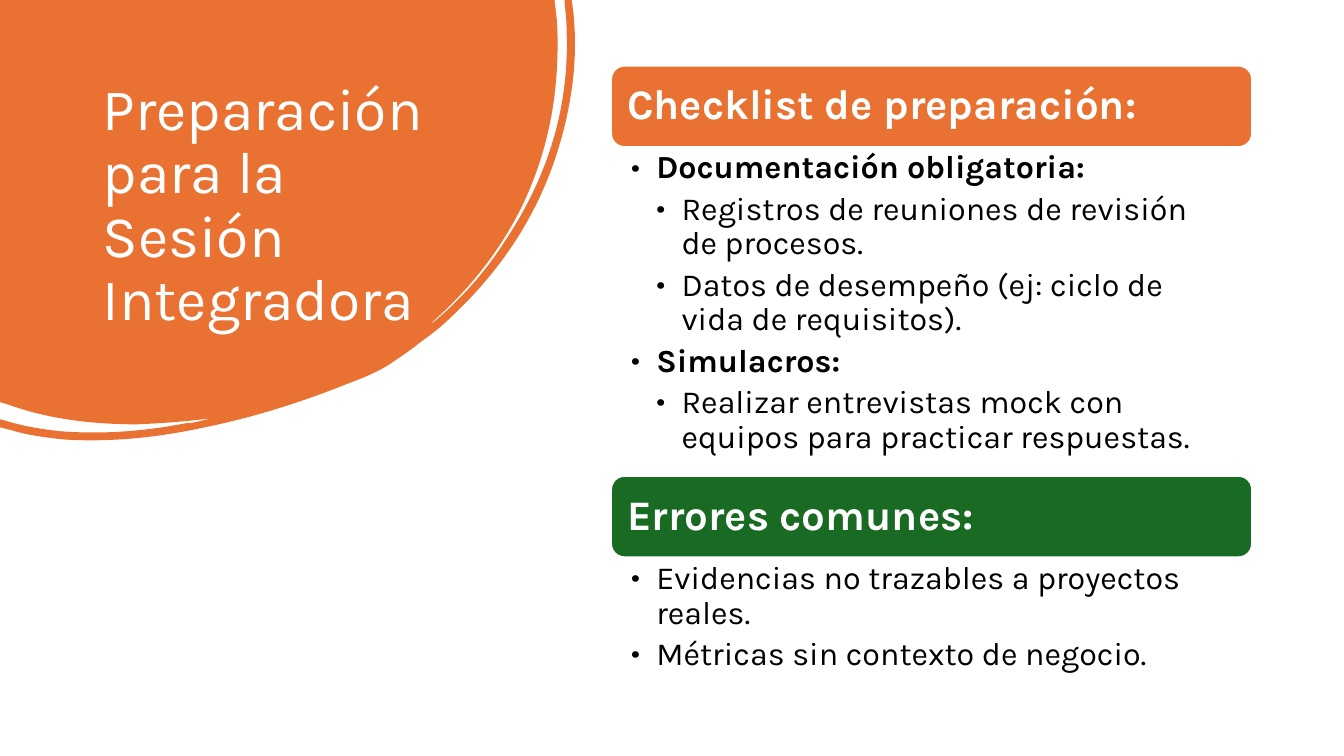
"""Build the slide on preparing for the integration session."""
from dataclasses import dataclass

from lxml.etree import SubElement
from pptx import Presentation
from pptx.dml.color import RGBColor
from pptx.enum.shapes import MSO_SHAPE
from pptx.enum.text import MSO_ANCHOR as ANCHOR, MSO_AUTO_SIZE as AUTO, PP_ALIGN as ALIGN
from pptx.oxml.ns import qn
from pptx.util import Inches, Pt

FONT = "Karla"
ORANGE, GREEN, WHITE, BLACK = "E97132", "196B24", "FFFFFF", "000000"
LEFT, WIDTH, BAR_HEIGHT = 6.06, 6.36, 0.81
UNITS_PER_INCH = 100

BLOB = [
    (0, 0), (5.5, 0), (5.52, 0.17),
    (5.53, 0.26, 5.53, 0.36, 5.53, 0.45), (5.53, 1.01, 5.42, 1.54, 5.18, 2.04),
    (4.96, 2.49, 4.65, 2.88, 4.27, 3.21), (4.29, 3.21, 4.3, 3.19, 4.32, 3.18),
    (4.59, 2.95, 4.82, 2.69, 5.01, 2.39), (5.43, 1.76, 5.65, 1.07, 5.62, 0.3),
    (5.62, 0.21, 5.61, 0.12, 5.6, 0.03), (5.6, 0), (5.67, 0), (5.68, 0.07),
    (5.74, 0.54, 5.68, 1.02, 5.53, 1.5), (5.33, 2.14, 4.97, 2.68, 4.48, 3.14),
    (4.39, 3.23, 4.29, 3.31, 4.19, 3.38), (4.09, 3.46, 3.99, 3.53, 3.87, 3.61),
    (3.75, 3.69, 3.6, 3.75, 3.44, 3.81), (2.99, 3.99, 2.52, 4.14, 2.03, 4.24),
    (1.57, 4.34, 1.1, 4.39, 0.63, 4.36), (0.45, 4.34, 0.28, 4.32, 0.12, 4.27),
    (0, 4.24), (0, 4.16), (0.04, 4.17),
    (0.23, 4.23, 0.42, 4.26, 0.61, 4.28), (1.03, 4.31, 1.43, 4.28, 1.84, 4.2),
    (1.89, 4.2, 1.93, 4.19, 1.98, 4.18), (2.02, 4.17, 2.06, 4.16, 2.1, 4.15),
    (1.86, 4.18, 1.61, 4.2, 1.36, 4.21), (0.92, 4.21, 0.48, 4.16, 0.07, 4.01),
    (0, 3.99),
]


@dataclass
class Bullet:
    text: str
    level: int = 1
    bold: bool = False


@dataclass
class Section:
    heading: str
    color: str
    top: float
    body_height: float
    bullets: list[Bullet]


SECTIONS = [
    Section("Checklist de preparación:", ORANGE, 0.65, 3.26, [
        Bullet("Documentación obligatoria:", bold=True),
        Bullet("Registros de reuniones de revisión de procesos.", 2),
        Bullet("Datos de desempeño (ej: ciclo de vida de requisitos).", 2),
        Bullet("Simulacros:", bold=True),
        Bullet("Realizar entrevistas mock con equipos para practicar respuestas.", 2),
    ]),
    Section("Errores comunes:", GREEN, 4.72, 1.22, [
        Bullet("Evidencias no trazables a proyectos reales."),
        Bullet("Métricas sin contexto de negocio."),
    ]),
]


def rgb(color: str) -> RGBColor:
    return RGBColor.from_string(color)


def set_frame(tf, anchor, left: float, top: float, right: float, bottom: float) -> None:
    tf.word_wrap = True
    tf.auto_size = AUTO.NONE
    tf.vertical_anchor = anchor
    tf.margin_left, tf.margin_top = Inches(left), Inches(top)
    tf.margin_right, tf.margin_bottom = Inches(right), Inches(bottom)


def add_text(p, text: str, size: float, color: str, bold: bool = False) -> None:
    p.alignment = ALIGN.LEFT
    p.line_spacing = 0.9
    r = p.add_run()
    r.text = text
    r.font.name, r.font.size, r.font.bold = FONT, Pt(size), bold
    r.font.color.rgb = rgb(color)


def bend(line, controls: list[int]) -> None:
    line.tag = qn("a:cubicBezTo")
    for i in (0, 2):
        pt = line.makeelement(qn("a:pt"), {"x": str(controls[i]), "y": str(controls[i + 1])})
        line.insert(i // 2, pt)


def add_blob(slide) -> None:
    segments = [[round(v * UNITS_PER_INCH) for v in seg] for seg in BLOB]
    ends = [seg[-2:] for seg in segments]
    builder = slide.shapes.build_freeform(*ends[0], scale=Inches(1) / UNITS_PER_INCH)
    builder.add_line_segments(ends[1:], close=True)
    sp = builder.convert_to_shape()
    for line, seg in zip(list(sp._element.iter(qn("a:lnTo"))), segments[1:]):
        if len(seg) == 6:
            bend(line, seg)
    sp.shadow.inherit = False
    sp.fill.solid()
    sp.fill.fore_color.rgb = rgb(ORANGE)
    sp.line.fill.background()


def add_title(slide) -> None:
    title = slide.shapes.title
    title.left, title.top = Inches(0.92), Inches(0.74)
    title.width, title.height = Inches(3.52), Inches(2.22)
    set_frame(title.text_frame, ANCHOR.TOP, 0.1, 0.05, 0.1, 0.05)
    add_text(title.text_frame.paragraphs[0], "Preparación para la Sesión Integradora", 42, WHITE)
    slide.shapes._spTree.append(title._element)


def add_bullet(p, bullet: Bullet) -> None:
    add_text(p, bullet.text, 23, BLACK, bullet.bold)
    p.level = bullet.level
    p.space_after = Pt(4.6)
    pPr = p._p.get_or_add_pPr()
    pPr.set("marL", str(Inches(0.25 * bullet.level)))
    pPr.set("indent", str(Inches(-0.25)))
    SubElement(pPr, qn("a:buFont")).set("typeface", FONT)
    SubElement(pPr, qn("a:buChar")).set("char", "•")


def add_section(slide, section: Section) -> None:
    bar = slide.shapes.add_shape(MSO_SHAPE.ROUNDED_RECTANGLE, Inches(LEFT), Inches(section.top),
                                 Inches(WIDTH), Inches(BAR_HEIGHT))
    bar.shadow.inherit = False
    bar.fill.solid()
    bar.fill.fore_color.rgb = rgb(section.color)
    bar.line.color.rgb = rgb(WHITE)
    bar.line.width = Pt(1.5)
    set_frame(bar.text_frame, ANCHOR.MIDDLE, 0.12, 0.12, 0.12, 0.12)
    add_text(bar.text_frame.paragraphs[0], section.heading, 30, WHITE, True)

    body = slide.shapes.add_textbox(Inches(LEFT), Inches(section.top + BAR_HEIGHT),
                                    Inches(WIDTH), Inches(section.body_height))
    tf = body.text_frame
    set_frame(tf, ANCHOR.TOP, 0.2, 0.04, 0.23, 0.04)
    for i, bullet in enumerate(section.bullets):
        add_bullet(tf.add_paragraph() if i else tf.paragraphs[0], bullet)


def main() -> None:
    prs = Presentation()
    prs.slide_width, prs.slide_height = Inches(13.33), Inches(7.5)
    slide = prs.slides.add_slide(prs.slide_layouts[5])
    add_blob(slide)
    add_title(slide)
    for section in SECTIONS:
        add_section(slide, section)
    prs.save("out.pptx")


if __name__ == "__main__":
    main()
